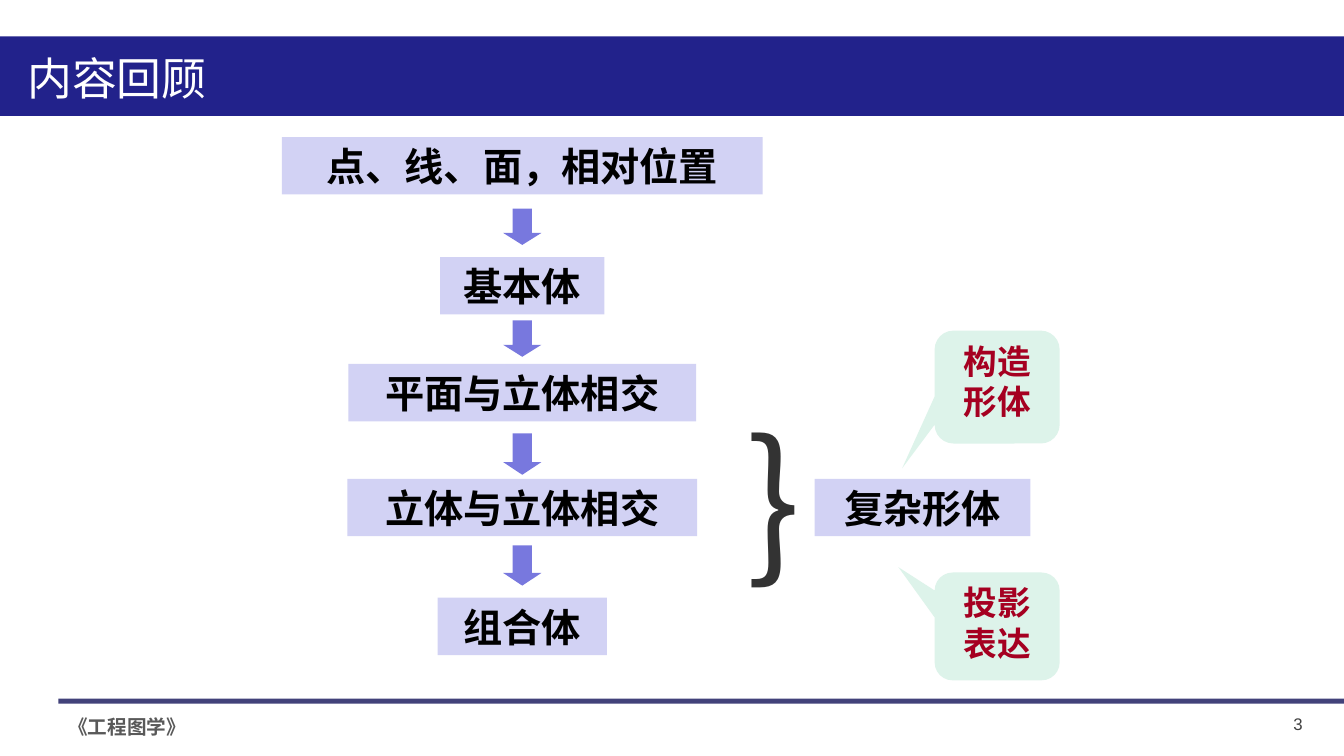
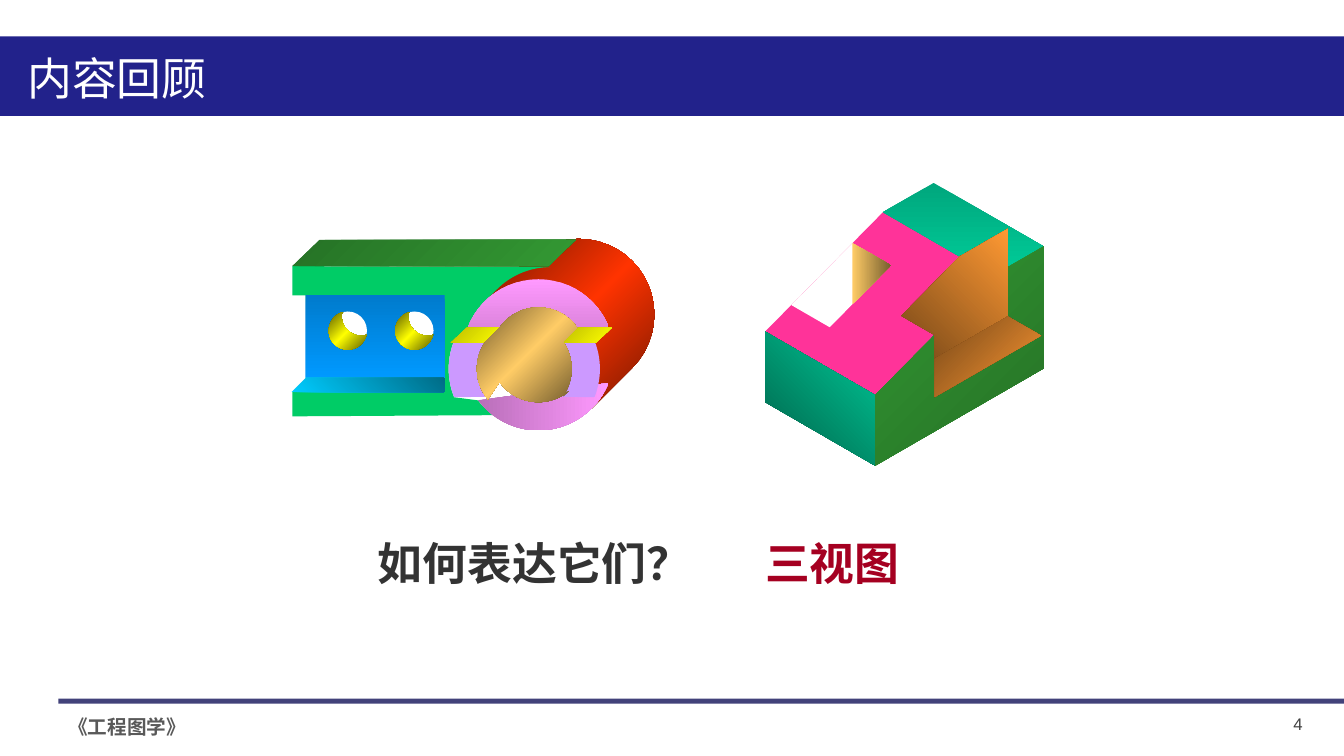
from math import cos, radians, sin

from pptx import Presentation
from pptx.dml.color import RGBColor
from pptx.enum.shapes import MSO_SHAPE
from pptx.enum.text import MSO_ANCHOR, MSO_AUTO_SIZE, PP_ALIGN
from pptx.oxml import parse_xml
from pptx.oxml.ns import nsdecls, qn
from pptx.util import Inches, Pt

SANS, LATIN = "Noto Sans CJK SC", "Arial"
NAVY, RULE, BOX, ARROW, MINT = "22228B", "17175C", "D2D2F4", "7878DE", "DDF3EA"
BLACK, WHITE, INK, RED = "000000", "FFFFFF", "333333", "A50021"
PINK, LILAC, GREEN, MAGENTA = "FF99FF", "CC99FF", "00CC66", "FF3399"
YELLOW, GOLD, ORANGE, TEAL = "FFFF00", "FFCC66", "FF9933", "00CC99"
LEAF, SCARLET, BLUE, CYAN = "339933", "FF3300", "0099FF", "00CCFF"

STYLES = {
    "title": ({"size": Pt(32), "bold": False, "name": SANS}, WHITE),
    "footer": ({"size": Pt(14), "bold": True, "name": LATIN}, "595959"),
    "number": ({"size": Pt(12), "name": LATIN}, "404040"),
    "box": ({"size": Pt(28), "bold": True, "name": SANS}, BLACK),
    "callout": ({"size": Pt(24), "bold": True, "name": SANS}, RED),
    "brace": ({"size": Pt(115), "name": SANS}, INK),
    "question": ({"size": Pt(32), "bold": True, "name": SANS}, INK),
    "answer": ({"size": Pt(32), "bold": True, "name": SANS}, RED),
}

FLOW = [
    ("点、线、面，相对位置", 0, 4.77),
    ("基本体", 1.19, 1.63),
    ("平面与立体相交", 2.25, 3.45),
    ("立体与立体相交", 3.39, 3.47),
    ("组合体", 4.57, 1.68),
]
FLOW_ARROWS = [(0.71, 0.36), (1.82, 0.36), (2.94, 0.41), (4.05, 0.4)]


def rgb(value):
    return RGBColor.from_string(value)


def paint(sp, color):
    sp.shadow.inherit = False
    sp.fill.solid()
    sp.fill.fore_color.rgb = rgb(color)
    sp.line.fill.background()


def paint_gradient(sp, colors, angle):
    paint(sp, colors[0])
    last = len(colors) - 1
    stops = "".join(
        f'<a:gs pos="{100000 * i // last}"><a:srgbClr val="{c}"/></a:gs>'
        for i, c in enumerate(colors))
    spPr = sp.element.spPr
    spPr.replace(spPr.find(qn("a:solidFill")), parse_xml(
        f'<a:gradFill {nsdecls("a")} rotWithShape="1"><a:gsLst>{stops}</a:gsLst>'
        f'<a:lin ang="{angle * 60000}" scaled="0"/></a:gradFill>'))


def write(sp, text, style, align=PP_ALIGN.CENTER, anchor=MSO_ANCHOR.MIDDLE):
    fmt, color = STYLES[style]
    tf = sp.text_frame
    frame = {"word_wrap": True, "auto_size": MSO_AUTO_SIZE.NONE,
             "vertical_anchor": anchor, "margin_top": 0, "margin_bottom": 0}
    for key, value in frame.items():
        setattr(tf, key, value)
    p = tf.paragraphs[0]
    p.alignment = align
    r = p.add_run()
    r.text = text
    for key, value in fmt.items():
        setattr(r.font, key, value)
    r.font.color.rgb = rgb(color)
    r.font.fill._xPr.find(qn("a:latin")).addnext(
        parse_xml(f'<a:ea {nsdecls("a")} typeface="{SANS}"/>'))
    return p


def add_box(shapes, kind, left, top, width, height, color):
    sp = shapes.add_shape(kind, *map(Inches, (left, top, width, height)))
    paint(sp, color)
    return sp


def add_text(shapes, left, top, width, height, text, style, align=PP_ALIGN.CENTER):
    sp = shapes.add_textbox(*map(Inches, (left, top, width, height)))
    write(sp, text, style, align)
    return sp


def dress_layout(layout, slide):
    shapes = slide.shapes
    band = add_box(shapes, MSO_SHAPE.RECTANGLE, 0, 0.36, 13.33, 0.79, NAVY)
    rule = add_box(shapes, MSO_SHAPE.RECTANGLE, 0.58, 6.93, 12.76, 0.05, RULE)
    rule.element.spPr.find(qn("a:solidFill"))[0].append(
        parse_xml(f'<a:alpha {nsdecls("a")} val="81000"/>'))
    footer = add_text(shapes, 0.58, 7.04, 2, 0.34, "《工程图学》", "footer", PP_ALIGN.LEFT)
    for i, sp in enumerate((band, rule, footer)):
        sp.element.xpath(".//p:cNvPr")[0].set("id", str(100 + i))
        layout.shapes.element.insert(2 + i, sp.element)
    title = layout.placeholders[0]
    title.left, title.top, title.width, title.height = map(Inches, (0.17, 0.45, 6, 0.64))


def add_heading(slide, title, number):
    write(slide.shapes.title, title, "title", PP_ALIGN.LEFT)
    add_text(slide.shapes, 12.42, 7.03, 0.6, 0.3, str(number), "number", PP_ALIGN.RIGHT)


def add_label(shapes, left, top, width, text):
    write(add_box(shapes, MSO_SHAPE.RECTANGLE, left, top, width, 0.57, BOX), text, "box")


def add_flow(slide, center, top):
    for text, offset, width in FLOW:
        add_label(slide.shapes, center - width / 2, top + offset, width, text)
    for offset, height in FLOW_ARROWS:
        sp = add_box(slide.shapes, MSO_SHAPE.DOWN_ARROW, center - 0.19, top + offset,
                     0.38, height, ARROW)
        sp.adjustments[1] = 0.33


def add_callout(slide, left, top, height, text, tail):
    sp = add_box(slide.shapes, MSO_SHAPE.ROUNDED_RECTANGULAR_CALLOUT, left, top,
                 1.24, height, MINT)
    for i, value in enumerate(tail):
        sp.adjustments[i] = value
    p = write(sp, text, "callout", anchor=MSO_ANCHOR.TOP)
    p.line_spacing = Pt(29)
    sp.text_frame.margin_top = Inches(0.04)


def add_summary(slide, left, top):
    shapes = slide.shapes.add_group_shape().shapes
    brace = add_text(shapes, left + 0.05, top - 0.02, 0.63, 2.04, "}", "brace")
    brace.text_frame.margin_left = brace.text_frame.margin_right = 0
    add_label(shapes, left + 0.77, top + 0.83, 2.14, "复杂形体")
    add_callout(slide, left + 1.96, top - 0.64, 1.12, "构造形体", (-0.76, 0.72))
    add_callout(slide, left + 1.96, top + 1.76, 1.07, "投影表达", (-0.79, -0.55))


def arc(center, radius, start, end, steps=24):
    angles = [radians(start + (end - start) * i / steps) for i in range(steps + 1)]
    return [(center[0] + radius * cos(a), center[1] + radius * sin(a)) for a in angles]


def slanted(left, top, width, height, shift):
    return [(left + shift, top), (left + shift + width, top),
            (left + width, top + height), (left, top + height)]


def rectangle(left, top, width, height):
    return slanted(left, top, width, height, 0)


def add_solid(slide, left, top, faces):
    shapes = slide.shapes.add_group_shape().shapes
    for outline, colors, angle in faces:
        points = [(Inches(left + x), Inches(top + y)) for x, y in outline]
        builder = shapes.build_freeform(*points[0], scale=1.0)
        builder.add_line_segments(points[1:], close=True)
        sp = builder.convert_to_shape()
        if len(colors) == 1:
            paint(sp, colors[0])
        else:
            paint_gradient(sp, colors, angle)


def cylinder_faces():
    outer, bore = 0.75, 0.47

    def on_axis(distance):
        return 2.44 + distance, 1.14 - distance

    front, back, slot, joint = map(on_axis, (0, 0.4, -0.14, 0.12))
    body = arc(back, outer, -135, 45) + arc(front, outer, 45, 45, 1) + arc(front, outer, 225, 225, 1)
    plate = ([(0, 0.26)] + arc(joint, outer, 270, 225) + arc(front, outer, 225, 200)
             + arc(slot, outer, 200, 158) + arc(front, outer, 143, 127) + [(0, 1.75)])
    bore_wall = (arc(front, bore, 215, 325) + arc(slot, bore, -35, 35)
                 + arc(front, bore, 50, 145) + arc(slot, bore, 140, 215))
    faces = [
        (body, ("761800", SCARLET, "761800"), 45),
        (plate, (GREEN,), 0),
        (slanted(0, 0, 2.54, 0.26, 0.27), ("267226", LEAF), 45),
        (arc(front, outer, 200, 340), (PINK, "DC84DC"), 90),
        (arc(front, outer, 22, 143), ("B96FB9", PINK), 0),
    ]
    for middle in (0, 180):
        cut = arc(slot, outer, middle - 22, middle + 22) + arc(slot, bore, middle + 36, middle - 36)
        faces.append((cut, (LILAC,), 0))
    for left in (1.57, 2.66):
        faces.append((slanted(left, 0.87, 0.35, 0.15, 0.16), ("BEBE00", YELLOW), 45))
    return faces + [(bore_wall, ("6E582C", GOLD, "6E582C"), 45)]


def groove_faces():
    left, top, right, bottom, lip = 0.13, 0.55, 1.51, 1.37, 0.14
    return [
        (rectangle(left, top, right - left, bottom - top), ("007BCD", BLUE), 90),
        ([(left - lip, bottom + lip), (left, bottom), (right, bottom), (right, bottom + lip)],
         (CYAN, "006C87"), 315),
        ([(left - lip, top), (left, top), (left, bottom), (left - lip, bottom + lip)],
         (WHITE,), 0),
    ]


def hole_faces(x, y):
    radius = 0.19
    rim, far_rim = (x, y), (x + 0.13, y - 0.14)
    wall = arc(rim, radius, 12, 256) + arc(far_rim, radius, 192, 75)
    return [
        (arc(rim, radius, 0, 360), (WHITE,), 0),
        (wall, ("5F5F00", YELLOW, "5F5F00"), 45),
    ]


def add_bearing(slide, left, top):
    faces = cylinder_faces() + groove_faces()
    for x in (0.55, 1.21):
        faces += hole_faces(x, 0.9)
    add_solid(slide, left, top, faces)


def block_faces():
    width, depth, low, high, ridge = 1.26, 1.93, 0.7, 1.21, 1.35

    def iso(x, y, z):
        return 1.09 + (y - x) * cos(radians(30)), 2.81 - (x + y) * sin(radians(30)) - z

    def slope(x, y):
        return iso(x, y, low + (high - low) * y / ridge)

    inner, near, far = width - 0.44, 0.3, 1
    step, start, end, floor = 0.38, 0.68, 1.9, 0.34
    hidden = iso(step, start + step, floor)
    return [
        ([slope(0, 0), slope(width, 0), slope(width, ridge), slope(0, ridge)], (MAGENTA,), 0),
        ([iso(x, y, high) for x, y in ((width, ridge), (width, depth), (0, depth), (0, ridge))],
         ("00A77D", TEAL), 90),
        ([iso(0, 0, 0), iso(width, 0, 0), iso(width, 0, low), iso(0, 0, low)],
         ("005E47", TEAL), 315),
        ([iso(0, 0, 0), iso(0, depth, 0), iso(0, depth, high), slope(0, ridge), slope(0, 0)],
         (LEAF, "256F25"), 45),
        ([slope(width, near), slope(width, far), slope(inner, far), slope(inner, near)],
         (WHITE,), 0),
        ([slope(width, far), slope(inner, far), slope(inner, far - width + inner)],
         (GOLD, "765E2F"), 0),
        ([slope(0, start), slope(step, start), slope(step, ridge),
          iso(step, end, high), iso(step, end, floor), hidden], ("764718", ORANGE), 315),
        ([hidden, iso(0, start, floor), iso(0, end, floor), iso(step, end, floor)],
         ("764718", ORANGE), 45),
    ]


def add_question(slide, left, top):
    add_text(slide.shapes, left, top, 3.35, 0.64, "如何表达它们？", "question")
    add_text(slide.shapes, left + 3.85, top, 1.55, 0.64, "三视图", "answer")


def main():
    prs = Presentation()
    prs.slide_width, prs.slide_height = Inches(13.33), Inches(7.5)
    layout = prs.slide_layouts[5]
    review, solids = (prs.slides.add_slide(layout) for _ in range(2))
    dress_layout(layout, review)
    for number, slide in enumerate((review, solids), 3):
        add_heading(slide, "内容回顾", number)
    add_flow(review, 5.18, 1.36)
    add_summary(review, 7.31, 3.92)
    add_bearing(solids, 2.9, 2.38)
    add_question(solids, 3.63, 5.26)
    add_solid(solids, 7.59, 1.81, block_faces())
    prs.save("out.pptx")


if __name__ == "__main__":
    main()
